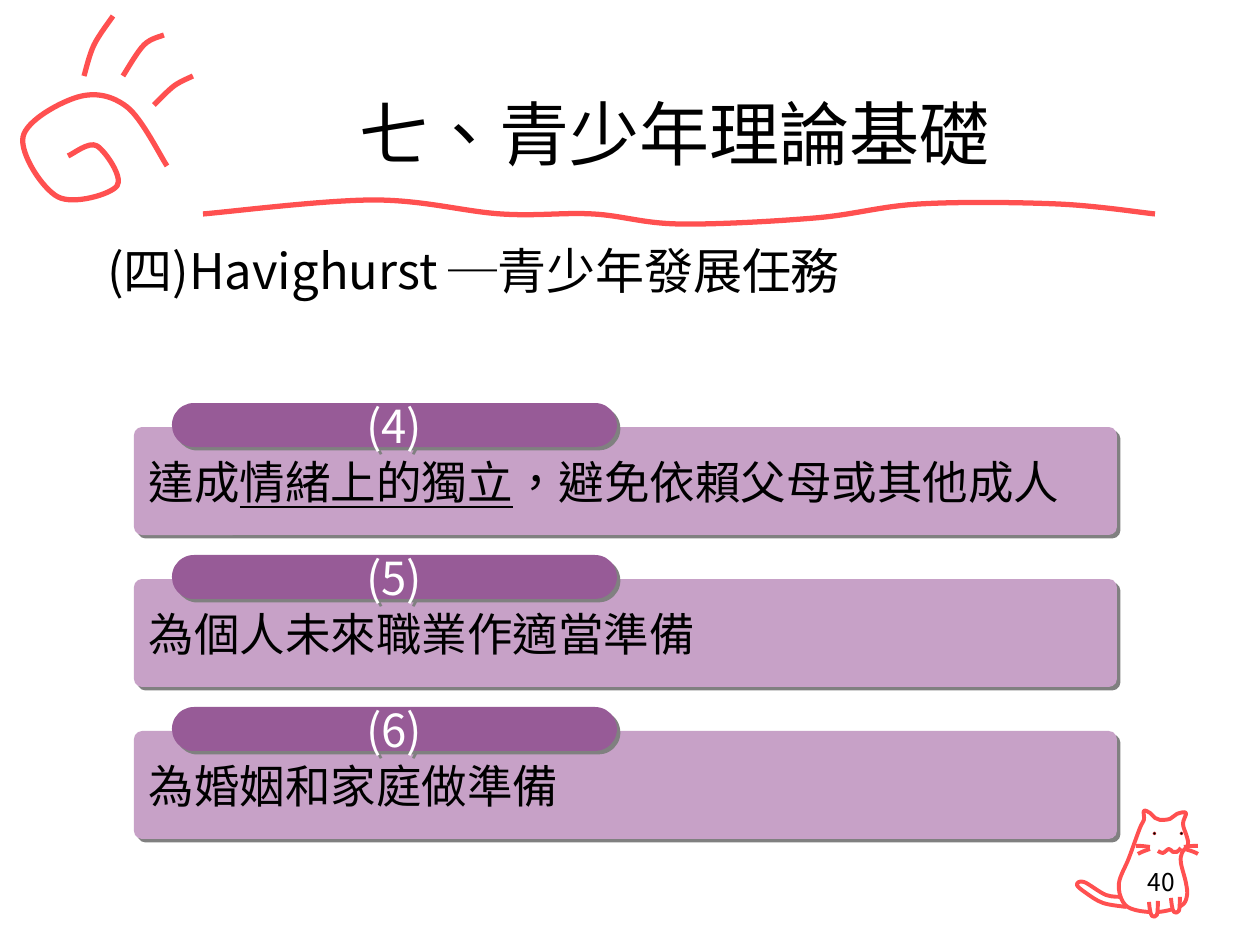
import pptx
import pptx.util
import pptx.dml.color
import pptx.enum.shapes
import pptx.enum.text
import pptx.oxml
import pptx.oxml.ns

SCALE = 914400 // 126
RGB = pptx.dml.color.RGBColor
RED = RGB(0xFF, 0x50, 0x50)
BLACK = RGB(0, 0, 0)
WHITE = RGB(0xFF, 0xFF, 0xFF)
LILAC = RGB(0xC7, 0xA1, 0xC7)
PURPLE = RGB(0x97, 0x5B, 0x97)
JP = "Noto Sans CJK JP"
SC = "Noto Sans CJK SC"
SHAPE = pptx.enum.shapes.MSO_SHAPE
ALIGN = pptx.enum.text.PP_ALIGN
ANCHOR = pptx.enum.text.MSO_ANCHOR
NS = 'xmlns:a="http://schemas.openxmlformats.org/drawingml/2006/main"'
SHADOW = (f'<a:effectLst {NS}><a:outerShdw dist="35560" dir="2700000" algn="ctr" rotWithShape="0">'
          '<a:srgbClr val="808080"/></a:outerShdw></a:effectLst>')


def px(length):
    return pptx.util.Emu(length * SCALE)


def apply(target, **values):
    for name, value in values.items():
        setattr(target, name, value)


def round_corners(stroke, closed):
    qn = pptx.oxml.ns.qn
    knots = [(int(pt.get("x")), int(pt.get("y"))) for pt in stroke._element.iter(qn("a:pt"))]
    before, after = (knots[-2], knots[1]) if closed else (knots[0], knots[-1])
    knots = [before, *knots, after]
    for i, segment in enumerate(list(stroke._element.iter(qn("a:lnTo")))):
        a, b, c, d = knots[i:i + 4]
        leave = [b[k] + (c[k] - a[k]) // 6 for k in (0, 1)]
        arrive = [c[k] - (d[k] - b[k]) // 6 for k in (0, 1)]
        points = "".join(f'<a:pt x="{x}" y="{y}"/>' for x, y in (leave, arrive, c))
        curve = pptx.oxml.parse_xml(f"<a:cubicBezTo {NS}>{points}</a:cubicBezTo>")
        segment.getparent().replace(segment, curve)


def add_stroke(page, origin, knots, width, fill=None, closed=False):
    points = [(px(origin[0] + x), px(origin[1] + y)) for x, y in knots]
    if closed:
        points.append(points[0])
    builder = page.shapes.build_freeform(*points[0], scale=1.0)
    builder.add_line_segments(points[1:], close=closed)
    stroke = builder.convert_to_shape()
    round_corners(stroke, closed)
    stroke.shadow.inherit = False
    if fill is None:
        stroke.fill.background()
    else:
        stroke.fill.solid()
        stroke.fill.fore_color.rgb = fill
    stroke.line.color.rgb = RED
    stroke.line.width = pptx.util.Pt(width)


def write(box, spans, size, font, color, align=ALIGN.LEFT, **frame_values):
    frame = box.text_frame
    apply(frame, **{"word_wrap": True, **frame_values})
    para = frame.paragraphs[0]
    para.alignment = align
    for text, underline in spans:
        span = para.add_run()
        span.text = text
        apply(span.font, size=pptx.util.Pt(size), name=font, underline=underline)
        span.font.color.rgb = color
        span.font._element.set("lang", "zh-TW")
        east = pptx.oxml.parse_xml(f'<a:ea {NS} typeface="{font}"/>')
        span.font._element.find(pptx.oxml.ns.qn("a:latin")).addnext(east)
    return para


def add_text(page, box, text, *style, **frame_values):
    area = page.shapes.add_textbox(*map(px, box))
    return write(area, [(text, None)], *style, **frame_values)


def add_sun(page, left, top):
    strokes = [
        [(48, 141), (77, 131), (97, 171), (38, 182), (3, 122), (58, 82), (107, 92), (147, 151)],
        [(64, 61), (74, 30), (93, 1)],
        [(103, 61), (124, 30), (144, 20)],
        [(134, 90), (154, 71), (173, 61)],
    ]
    for knots in strokes:
        add_stroke(page, (left, top), knots, 3)


def add_wave(page, left, top):
    knots = [(0, 14), (171, 0), (298, 14), (390, 14), (476, 24), (612, 18),
             (717, 4), (854, 4), (952, 14)]
    add_stroke(page, (left, top), knots, 3)


def add_cat(page, left, top):
    origin = left, top
    tail = [(47, 87), (30, 85), (8, 72), (1, 75), (10, 83), (27, 93), (50, 97)]
    body = [(110, 3), (107, 14), (111, 27), (112, 35), (106, 43), (105, 53), (110, 73), (111, 86),
            (105, 96), (83, 102), (59, 100), (47, 92), (43, 73), (53, 48), (64, 18), (68, 10),
            (68, 1), (74, 3), (79, 8), (84, 10), (94, 9), (101, 4)]
    paw = [(9, 0), (8, 14), (3, 15), (1, 9), (0, 1)]
    mouth = [(105, 38), (101, 42), (97, 42), (93, 39), (87, 43), (82, 41)]
    whiskers = [[(74, 39), (66, 42), (62, 44)], [(74, 37), (65, 36), (60, 36)],
                [(109, 39), (118, 42), (122, 44)], [(108, 37), (117, 36), (122, 36)]]
    add_stroke(page, origin, tail, 2.25)
    add_stroke(page, origin, body, 2.25, WHITE, True)
    add_stroke(page, origin, mouth, 2.25)
    for x in (77, 104):
        eye = page.shapes.add_shape(SHAPE.OVAL, *map(px, (left + x, top + 22, 3, 3)))
        eye.shadow.inherit = False
        eye.fill.solid()
        eye.fill.fore_color.rgb = BLACK
        eye.line.color.rgb = RED
        eye.line.width = pptx.util.Pt(0.25)
    for x, y in ((95, 87), (73, 91)):
        add_stroke(page, (left + x, top + y), paw, 2.25, WHITE)
    for knots in whiskers:
        add_stroke(page, origin, knots, 2.25)


def add_panel(page, box, rounding, color):
    panel = page.shapes.add_shape(SHAPE.ROUNDED_RECTANGLE, *map(px, box))
    panel.adjustments[0] = rounding
    panel.fill.solid()
    panel.fill.fore_color.rgb = color
    panel.line.fill.background()
    panel._element.spPr.append(pptx.oxml.parse_xml(SHADOW))
    return panel


def add_task(page, left, top, label, spans):
    card = add_panel(page, (left, top + 24, 983, 108), 0.075, LILAC)
    write(card, spans, 26, SC, BLACK, vertical_anchor=ANCHOR.TOP, margin_top=px(25))
    tab = add_panel(page, (left + 38, top, 445, 44), 0.5, PURPLE)
    write(tab, [(label, None)], 26, SC, WHITE, ALIGN.CENTER,
          vertical_anchor=ANCHOR.MIDDLE, word_wrap=False)


def add_heading(page):
    add_text(page, (184, 54, 981, 157), "七、青少年理論基礎", 40, JP, BLACK, ALIGN.CENTER,
             vertical_anchor=ANCHOR.MIDDLE)
    para = add_text(page, (95, 234, 1071, 218), "(四)Havighurst ─青少年發展任務", 28, JP, BLACK)
    para.space_before = pptx.util.Pt(5.6)
    para._p.pPr.set("marL", str(px(47)))
    para._p.pPr.set("indent", str(px(-47)))


TASKS = [
    ("(4)", [("達成", None), ("情緒上的獨立", True), ("，避免依賴父母或其他成人", None)]),
    ("(5)", [("為個人未來職業作適當準備", None)]),
    ("(6)", [("為婚姻和家庭做準備", None)]),
]

deck = pptx.Presentation()
apply(deck, slide_width=pptx.util.Inches(10), slide_height=pptx.util.Inches(7.5))
page = deck.slides.add_slide(deck.slide_layouts[6])
add_cat(page, 1076, 810)
add_sun(page, 20, 15)
add_wave(page, 203, 200)
add_heading(page)
add_text(page, (1127, 861, 69, 63), "40", 14, JP, BLACK, ALIGN.CENTER)
for row, (label, spans) in enumerate(TASKS):
    add_task(page, 134, 403 + 152 * row, label, spans)
deck.save("out.pptx")
